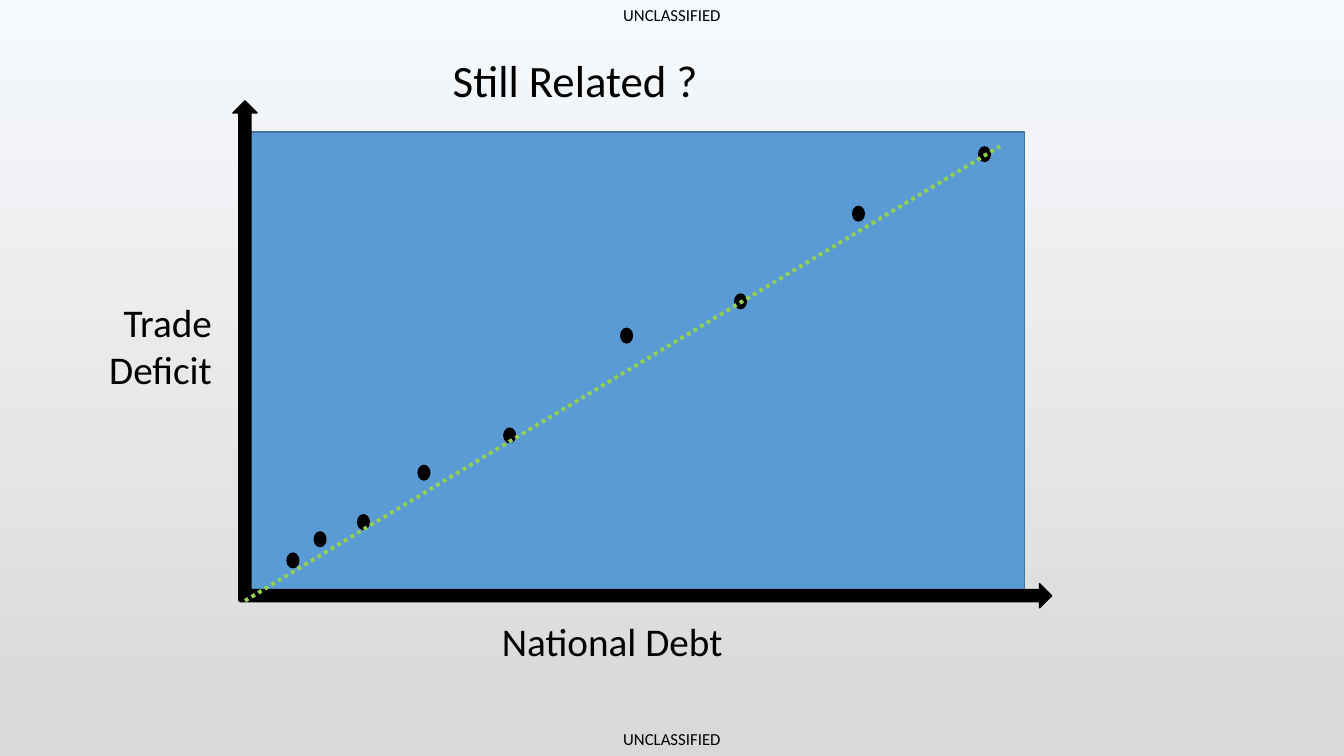
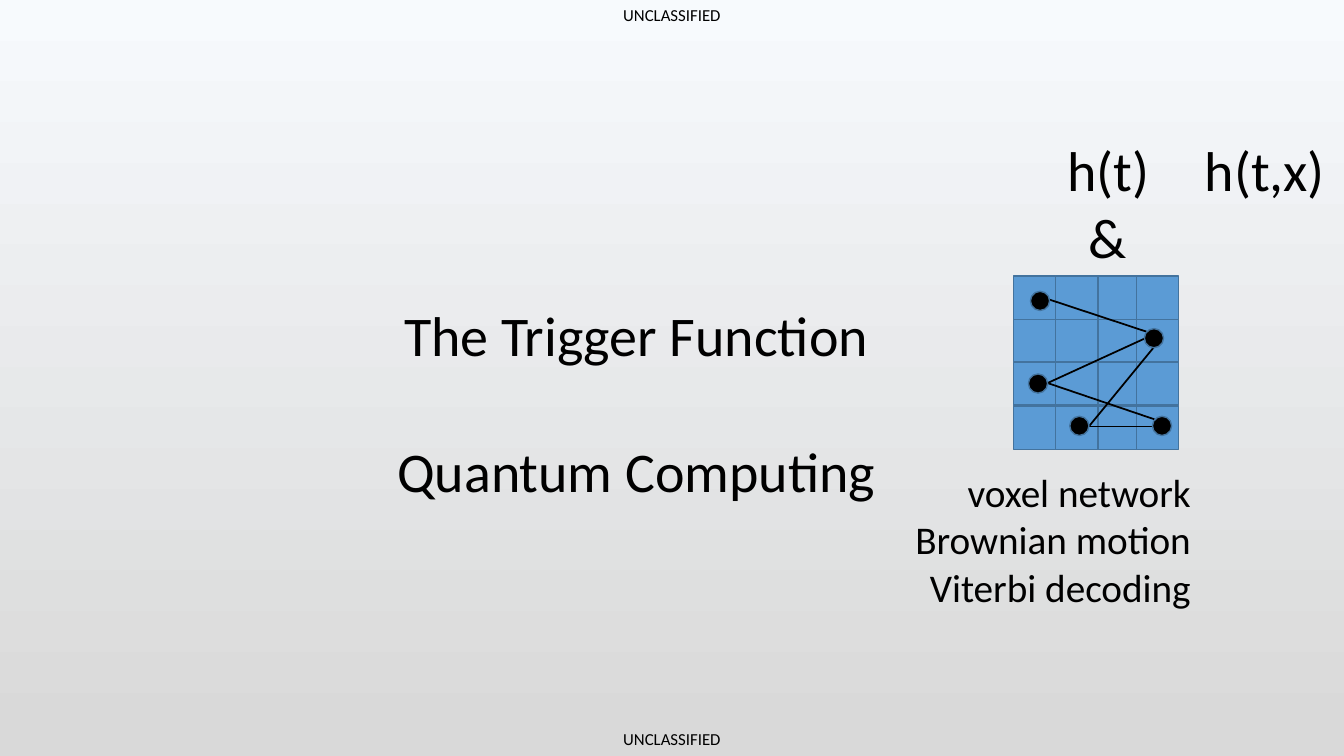
from dataclasses import dataclass
from itertools import product
from typing import Optional

from lxml.etree import SubElement
from pptx import Presentation
from pptx.dml.color import RGBColor
from pptx.enum.dml import MSO_LINE
from pptx.enum.shapes import MSO_CONNECTOR, MSO_SHAPE
from pptx.enum.text import MSO_ANCHOR, MSO_AUTO_SIZE, PP_ALIGN
from pptx.oxml.ns import qn
from pptx.util import Emu, Pt

EMU_PER_PX = 9144
SLIDE_WIDTH, SLIDE_HEIGHT = 1333, 750
FONT = "Calibri"
BLACK = RGBColor(0x00, 0x00, 0x00)
BLUE = RGBColor(0x5B, 0x9B, 0xD5)
DARK_BLUE = RGBColor(0x43, 0x73, 0x9E)
GREEN = RGBColor(0x92, 0xD0, 0x50)
SKY = RGBColor(0xF7, 0xFA, 0xFD)
GRAY = RGBColor(0xD9, 0xD9, 0xD9)

TITLE_AND_CONTENT, TITLE_ONLY = 1, 5


@dataclass(frozen=True)
class Area:
    left: int
    top: int
    width: int
    height: int

    def emu(self) -> tuple:
        return tuple(px(value) for value in (self.left, self.top, self.width, self.height))


@dataclass(frozen=True)
class TextStyle:
    size: int
    align: PP_ALIGN = PP_ALIGN.LEFT
    wrap: bool = False
    gap: int = 0


@dataclass(frozen=True)
class Segment:
    x1: int
    y1: int
    x2: int
    y2: int


BANNER = TextStyle(12, PP_ALIGN.CENTER, wrap=True)
AXIS_LABEL = TextStyle(28)
AXIS_LABEL_RIGHT = TextStyle(28, PP_ALIGN.RIGHT)
FORMULA = TextStyle(40, PP_ALIGN.CENTER)
CHART_TITLE = TextStyle(32)
TOPIC_TITLE = TextStyle(40, PP_ALIGN.CENTER, gap=49)
TOPIC_LIST = TextStyle(28, PP_ALIGN.RIGHT, wrap=True)

DATA_POINTS = ((284, 548), (311, 527), (354, 510), (414, 461), (499, 424),
               (615, 325), (728, 291), (845, 204), (970, 145))
CELL_LEFTS = (1005, 1047, 1089, 1127)
CELL_TOPS = (274, 317, 359, 403)
NODES = ((1022, 289), (1061, 413), (1143, 413), (1135, 326), (1020, 371))
LINKS = (Segment(1137, 329, 1025, 292), Segment(1080, 423, 1144, 345),
         Segment(1080, 423, 1143, 423), Segment(1039, 380, 1145, 416),
         Segment(1039, 380, 1135, 336))


def px(value: int) -> Emu:
    return Emu(value * EMU_PER_PX)


def write(box, area: Area, lines: tuple, style: TextStyle) -> None:
    """Place a text box or placeholder and fill it with one paragraph per line."""
    box.left, box.top, box.width, box.height = area.emu()
    frame = box.text_frame
    frame.word_wrap = style.wrap
    frame.auto_size = MSO_AUTO_SIZE.NONE
    frame.vertical_anchor = MSO_ANCHOR.TOP
    frame.text = "\n".join(lines)
    for index, para in enumerate(frame.paragraphs):
        if box.is_placeholder:
            properties = para._p.get_or_add_pPr()
            properties.set("marL", "0")
            properties.set("indent", "0")
            SubElement(properties, qn("a:buNone"))
        para.alignment = style.align
        para.space_before = Pt(style.gap if index else 0)
        para.font.name = FONT
        para.font.size = Pt(style.size)
        para.font.color.rgb = BLACK


def add_text(slide, area: Area, lines: tuple, style: TextStyle):
    box = slide.shapes.add_textbox(*area.emu())
    write(box, area, lines, style)
    return box


def add_filled(shapes, kind: MSO_SHAPE, area: Area, fill: RGBColor,
               outline: Optional[RGBColor] = None):
    shape = shapes.add_shape(kind, *area.emu())
    shape.shadow.inherit = False
    shape.fill.solid()
    shape.fill.fore_color.rgb = fill
    if outline is None:
        shape.line.fill.background()
    else:
        shape.line.color.rgb = outline
        shape.line.width = Pt(1)
    return shape


def add_line(shapes, segment: Segment, color: RGBColor, width: float):
    ends = (segment.x1, segment.y1, segment.x2, segment.y2)
    line = shapes.add_connector(MSO_CONNECTOR.STRAIGHT, *(px(value) for value in ends))
    line.line.color.rgb = color
    line.line.width = Pt(width)
    SubElement(line.element.spPr, qn("a:effectLst"))
    return line


def style_master(deck, slide) -> None:
    """Give the master its gradient and banners, which are built on slide and moved."""
    master = deck.slide_master
    fill = master.background.fill
    fill.gradient()
    fill.gradient_angle = 270
    for stop, color, position in zip(fill.gradient_stops, (SKY, GRAY), (0, 0.97)):
        stop.color.rgb = color
        stop.position = position
    for top in (0, 718):
        banner = add_text(slide, Area(0, top, SLIDE_WIDTH, 30), ("UNCLASSIFIED",), BANNER)
        master.shapes.element.append(banner.element)


def build_scatter(slide) -> None:
    shapes = slide.shapes
    write(shapes.title, Area(439, 47, 266, 64), ("Still Related ?",), CHART_TITLE)
    add_filled(shapes, MSO_SHAPE.RECTANGLE, Area(238, 131, 778, 465), BLUE, DARK_BLUE)
    add_filled(shapes, MSO_SHAPE.RIGHT_ARROW, Area(238, 579, 805, 24), BLACK, BLACK)
    vertical_axis = add_filled(shapes, MSO_SHAPE.RIGHT_ARROW, Area(-5, 336, 496, 24),
                               BLACK, BLACK)
    vertical_axis.rotation = 270
    for left, top in DATA_POINTS:
        add_filled(shapes, MSO_SHAPE.OVAL, Area(left, top, 13, 16), BLACK)
    add_text(slide, Area(488, 608, 241, 57), ("National Debt",), AXIS_LABEL)
    add_text(slide, Area(97, 291, 123, 104), ("Trade", "Deficit"), AXIS_LABEL_RIGHT)
    trend = add_line(shapes, Segment(243, 596, 992, 145), GREEN, 2.75)
    trend.line.dash_style = MSO_LINE.ROUND_DOT


def build_network(slide) -> None:
    write(slide.shapes.title, Area(381, 293, 500, 212),
          ("The Trigger Function", "Quantum Computing"), TOPIC_TITLE)
    write(slide.placeholders[1], Area(712, 460, 479, 152),
          ("voxel network", "Brownian motion", "Viterbi decoding"), TOPIC_LIST)
    add_text(slide, Area(1184, 130, 141, 77), ("h(t,x)",), FORMULA)
    add_text(slide, Area(1048, 129, 102, 145), ("h(t)", "&"), FORMULA)
    network = slide.shapes.add_group_shape().shapes
    for top, left in product(CELL_TOPS, CELL_LEFTS):
        add_filled(network, MSO_SHAPE.RECTANGLE, Area(left, top, 42, 43), BLUE, DARK_BLUE)
    for link in LINKS:
        add_line(network, link, BLACK, 1.25)
    for left, top in NODES:
        add_filled(network, MSO_SHAPE.OVAL, Area(left, top, 19, 19), BLACK, DARK_BLUE)


def main() -> None:
    deck = Presentation()
    deck.slide_width, deck.slide_height = px(SLIDE_WIDTH), px(SLIDE_HEIGHT)
    scatter = deck.slides.add_slide(deck.slide_layouts[TITLE_ONLY])
    style_master(deck, scatter)
    build_scatter(scatter)
    build_network(deck.slides.add_slide(deck.slide_layouts[TITLE_AND_CONTENT]))
    deck.save("out.pptx")


if __name__ == "__main__":
    main()
